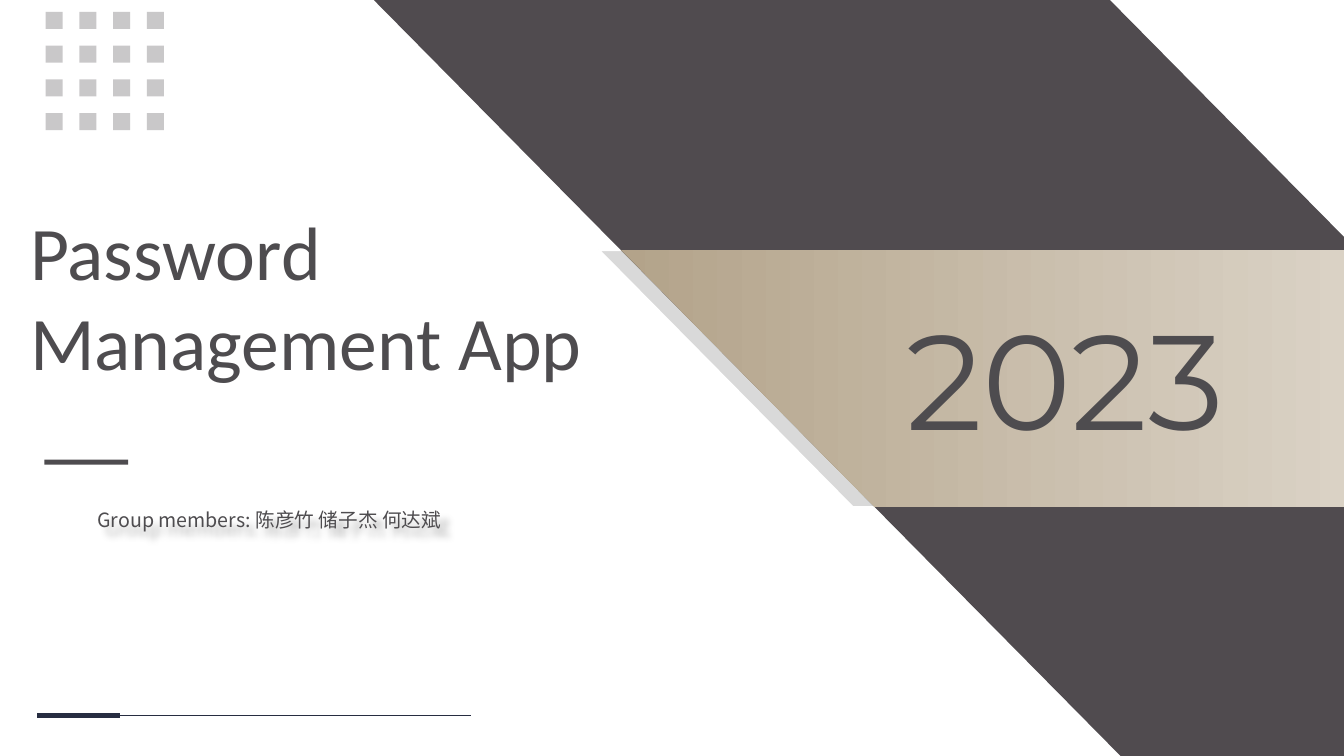
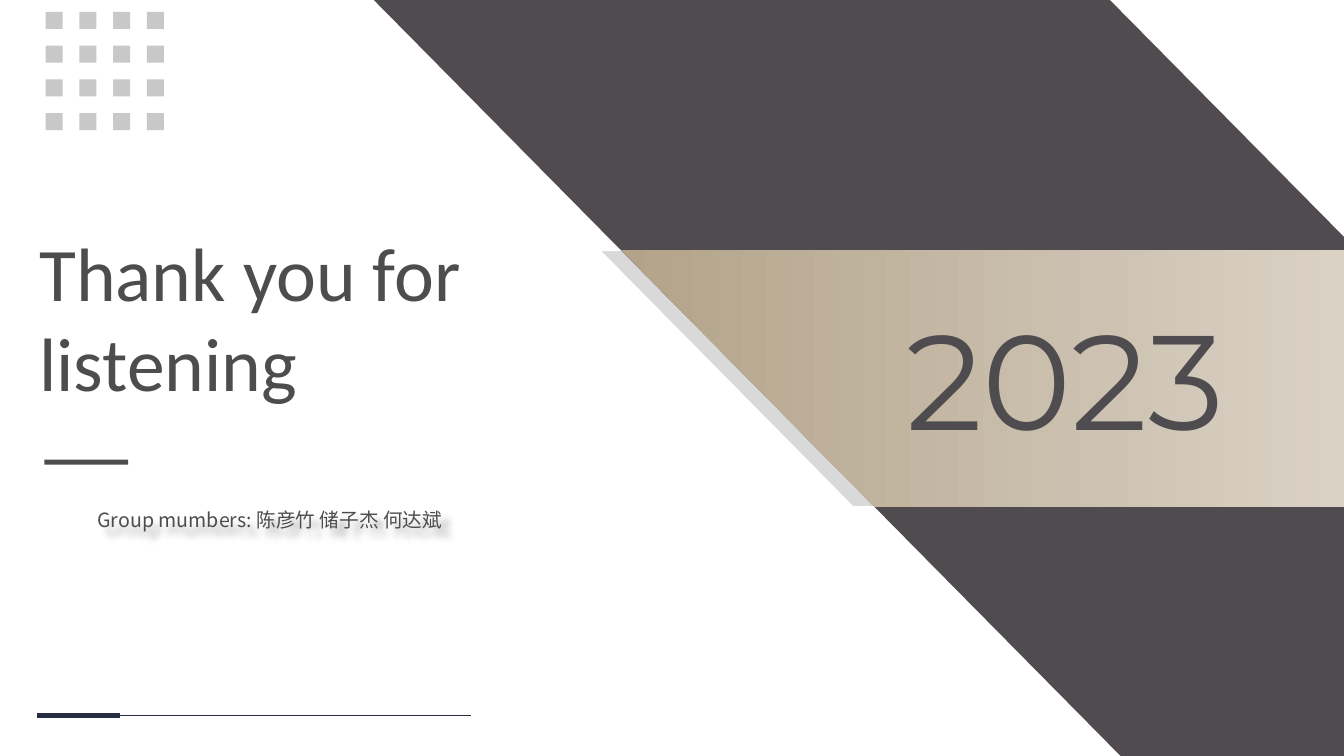
from dataclasses import dataclass
from itertools import product

from lxml.etree import SubElement
from pptx import Presentation
from pptx.dml.color import RGBColor
from pptx.enum.shapes import MSO_CONNECTOR, MSO_SHAPE
from pptx.enum.text import MSO_ANCHOR, PP_ALIGN
from pptx.oxml.ns import qn
from pptx.util import Cm, Pt


@dataclass(frozen=True)
class Theme:
    ink: str = "4E4C4F"
    band: str = "504B4F"
    pale: str = "D9D9D9"
    white: str = "FFFFFF"
    gold_dark: str = "B3A38A"
    gold_light: str = "DAD2C5"
    navy: str = "272D41"
    title_font: str = "Calibri"
    year_font: str = "Montserrat"
    body_font: str = "Noto Sans CJK SC"
    title_size: int = 54
    year_size: int = 96
    body_size: int = 14


THEME = Theme()
WIDTH, HEIGHT = 33.87, 19.05
RIBBON_TOP, RIBBON_BOTTOM = 6.3, 12.78
DOT_COUNT, DOT_SIZE, DOT_PITCH = 4, 0.43, 0.85


def color(code):
    return RGBColor.from_string(code)


def write_text(shape, text, *, font, size, align=PP_ALIGN.LEFT,
               anchor=MSO_ANCHOR.TOP, wrap=True):
    frame = shape.text_frame
    frame.word_wrap = wrap
    frame.vertical_anchor = anchor
    para = frame.paragraphs[0]
    para.alignment = align
    span = para.add_run()
    span.text = text
    span.font.name = font
    span.font.size = Pt(size)
    span.font.color.rgb = color(THEME.ink)
    east_asian = SubElement(span.font._element, qn("a:ea"))
    east_asian.set("typeface", font)


def add_text(page, text, left, top, width, height, **style):
    box = page.shapes.add_textbox(Cm(left), Cm(top), Cm(width), Cm(height))
    write_text(box, text, **style)


def add_outline(page, points):
    corners = [(Cm(x), Cm(y)) for x, y in points]
    builder = page.shapes.build_freeform(*corners[0])
    builder.add_line_segments(corners[1:])
    outline = builder.convert_to_shape()
    outline.shadow.inherit = False
    outline.line.fill.background()
    return outline


def add_block(shapes, left, top, width, height, opacity=100):
    block = shapes.add_shape(MSO_SHAPE.RECTANGLE, Cm(left), Cm(top), Cm(width), Cm(height))
    block.shadow.inherit = False
    block.line.fill.background()
    block.fill.solid()
    block.fill.fore_color.rgb = color(THEME.ink)
    if opacity < 100:
        tint = block._element.spPr.find(qn("a:solidFill")).find(qn("a:srgbClr"))
        SubElement(tint, qn("a:alpha")).set("val", str(opacity * 1000))


def add_rule(shapes, start, end, y, weight):
    rule = shapes.add_connector(MSO_CONNECTOR.STRAIGHT, Cm(start), Cm(y), Cm(end), Cm(y))
    rule.line.color.rgb = color(THEME.navy)
    rule.line.width = Pt(weight)
    SubElement(rule._element.spPr, qn("a:effectLst"))


def add_text_shadow(shape):
    shape.shadow.inherit = False
    effects = shape._element.spPr.find(qn("a:effectLst"))
    shadow = SubElement(effects, qn("a:outerShdw"), blurRad="63500", dist="101600",
                        dir="2700000", algn="tl", rotWithShape="0")
    tint = SubElement(shadow, qn("a:srgbClr"), val="000000")
    SubElement(tint, qn("a:alpha"), val="30000")


def add_ribbon(page, left):
    return add_outline(page, [(left, RIBBON_TOP), (left + 18.22, RIBBON_TOP),
                              (left + 18.22, RIBBON_BOTTOM), (left + 6.4, RIBBON_BOTTOM)])


def add_bands(page):
    edge = add_ribbon(page, 15.09)
    edge.fill.solid()
    edge.fill.fore_color.rgb = color(THEME.pale)
    edge.line.color.rgb = color(THEME.white)
    edge.line.width = Pt(1.5)

    diagonal = add_outline(page, [(9.42, 0), (27.97, 0), (WIDTH, 5.97),
                                  (WIDTH, HEIGHT), (28.24, HEIGHT)])
    diagonal.fill.solid()
    diagonal.fill.fore_color.rgb = color(THEME.band)

    ribbon = add_ribbon(page, 15.65)
    ribbon.fill.gradient()
    ribbon.fill.gradient_angle = 0
    for stop, code in zip(ribbon.fill.gradient_stops, (THEME.gold_dark, THEME.gold_light)):
        stop.color.rgb = color(code)


def add_dots(page):
    dots = page.shapes.add_group_shape()
    for row, column in product(range(DOT_COUNT), repeat=2):
        add_block(dots.shapes, 1.15 + column * DOT_PITCH, 0.3 + row * DOT_PITCH,
                  DOT_SIZE, DOT_SIZE, opacity=30)


def add_footer(page):
    footer = page.shapes.add_group_shape()
    add_rule(footer.shapes, 3.02, 0.94, 18.03, 3)
    add_rule(footer.shapes, 11.86, 3, 18.03, 1)


def add_members(page, text, width):
    pill = page.shapes.add_shape(MSO_SHAPE.ROUNDED_RECTANGLE,
                                 Cm(2.03), Cm(12.5), Cm(width), Cm(1.19))
    pill.adjustments[0] = 0.5
    pill.fill.background()
    pill.line.fill.background()
    add_text_shadow(pill)
    write_text(pill, text, font=THEME.body_font, size=THEME.body_size,
               anchor=MSO_ANCHOR.MIDDLE)


def add_cover(deck, title, title_box, members, members_width):
    page = deck.slides.add_slide(deck.slide_layouts[6])
    add_bands(page)
    add_text(page, "2023", 22.07, 7.34, 9.55, 4.37, font=THEME.year_font,
             size=THEME.year_size, align=PP_ALIGN.CENTER, wrap=False)
    add_text(page, title, *title_box, font=THEME.title_font, size=THEME.title_size)
    add_block(page.shapes, 1.12, 11.58, 2.11, 0.13)
    add_members(page, members, members_width)
    add_dots(page)
    add_footer(page)


def main():
    deck = Presentation()
    deck.slide_width, deck.slide_height = Cm(WIDTH), Cm(HEIGHT)
    add_cover(deck, "Password Management App", (0.51, 5.03, 14.58, 4.88),
              "Group members: 陈彦竹 储子杰 何达斌", 9.83)
    add_cover(deck, "Thank you for listening", (0.74, 5.56, 12.34, 4.88),
              "Group mumbers: 陈彦竹 储子杰 何达斌", 10.46)
    deck.save("out.pptx")


if __name__ == "__main__":
    main()
